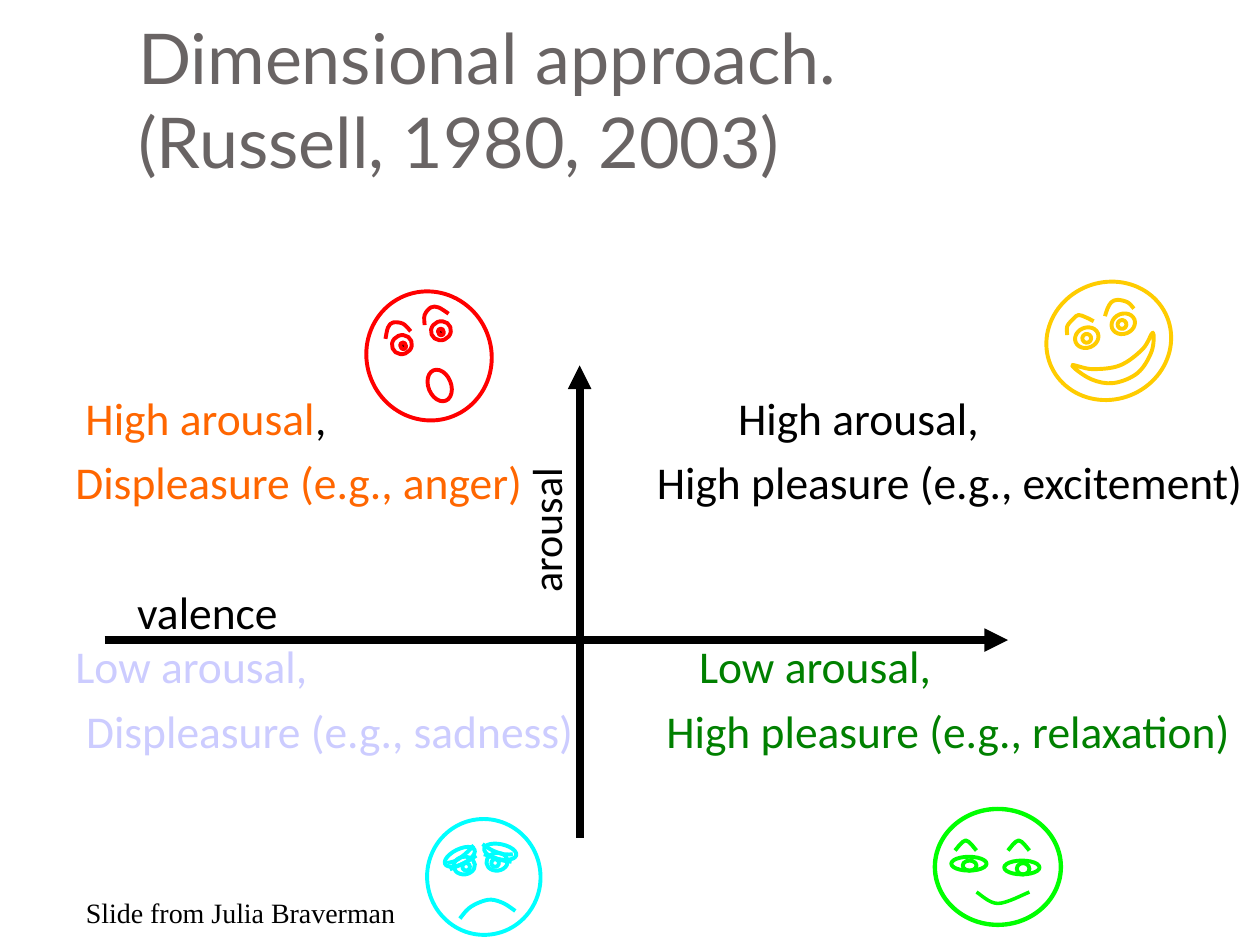
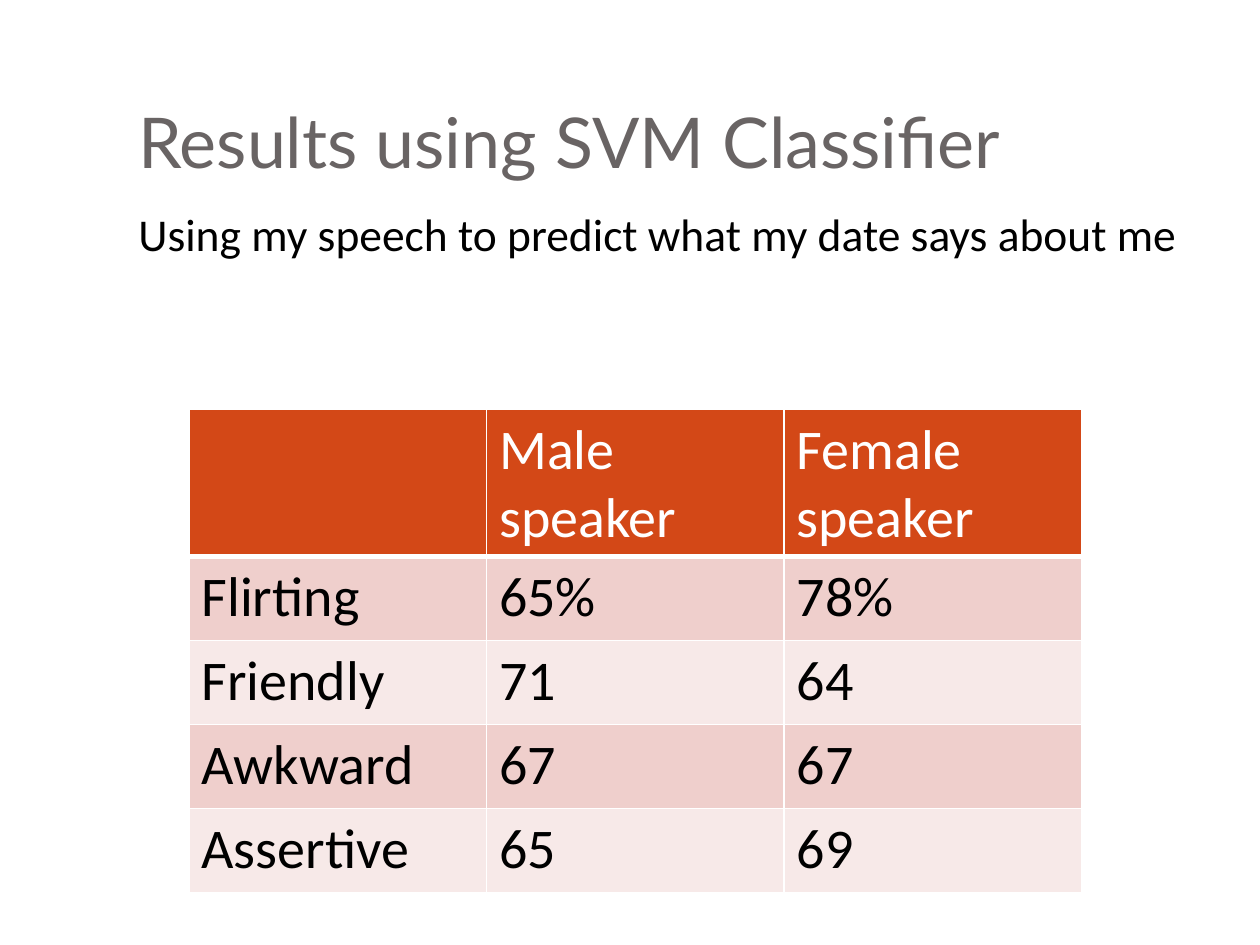
from dataclasses import dataclass

from lxml import etree
from pptx import Presentation
from pptx.dml.color import RGBColor
from pptx.enum import shapes, text
from pptx.oxml import ns
from pptx import util as u

# Grid: 100 columns by 75 rows of square cells
SLIDE_WIDTH, SLIDE_HEIGHT = u.Inches(10), u.Inches(7.5)
CELL = SLIDE_WIDTH / 100

# Shared style
BLACK, WHITE, TITLE_GREY = "000000", "FFFFFF", "696464"
ORANGE, LILAC, GREEN = "FF6600", "CCCCFF", "008000"
HEADER_FILL, BAND_FILLS = "D34817", ("EFCFCC", "F7E9E8")
TITLE_FONT, BODY_FONT, CREDIT_FONT = "Lato", "Calibri", "Times New Roman"
BODY_SIZE = 26
LINE_GAP = 5.8

Point = tuple[float, float]
Box = tuple[float, float, float, float]


@dataclass
class TextLine:
    runs: list[tuple[str, str]]
    tabs: tuple[float, ...] = ()
    space_before: float = LINE_GAP


@dataclass
class Axis:
    start: Point
    end: Point
    width: float = 4.5
    arrow: bool = True


@dataclass
class Oval:
    box: Box
    rotation: float | None = None
    width: float = 2.25


@dataclass
class Curve:
    knots: list[Point]
    closed: bool = False
    width: float = 2.25


@dataclass
class Face:
    color: str
    rotation: float
    ovals: list[Oval]
    curves: list[Curve]
    pupils: tuple[Box, ...] = ()
    grouped: bool = True


def grid(*cells: float) -> list[u.Emu]:
    return [u.Emu(round(cell * CELL)) for cell in cells]


def rgb(color: str) -> RGBColor:
    return RGBColor.from_string(color)


def child(parent, tag: str, **attributes: str):
    return etree.SubElement(parent, ns.qn(tag), **attributes)


def format_font(font, size: float, name: str, color: str) -> None:
    font.size, font.name, font.bold = u.Pt(size), name, False
    font.color.rgb = rgb(color)


# Text
def add_text(slide, box: Box, lines: list[TextLine], size: float, name: str,
             wrap: bool = True):
    shape = slide.shapes.add_textbox(*grid(*box))
    frame = shape.text_frame
    frame.word_wrap = wrap
    for number, line in enumerate(lines):
        paragraph = frame.add_paragraph() if number else frame.paragraphs[0]
        if line.tabs:
            tab_list = child(paragraph._p.get_or_add_pPr(), "a:tabLst")
            for position in grid(*line.tabs):
                child(tab_list, "a:tab", pos=str(position), algn="l")
        paragraph.space_before = u.Pt(line.space_before if number else 0)
        for words, color in line.runs:
            run = paragraph.add_run()
            run.text = words
            format_font(run.font, size, name, color)
    return shape


def add_title(slide, title: str) -> None:
    shape = slide.shapes.add_textbox(*grid(10, 3, 85, 12.5))
    frame = shape.text_frame
    frame.word_wrap = True
    frame.vertical_anchor = text.MSO_ANCHOR.BOTTOM
    frame.margin_bottom = u.Inches(0.1)
    frame.text = title
    for run in frame.paragraphs[0].runs:
        format_font(run.font, 40, TITLE_FONT, TITLE_GREY)


# Lines and faces
def add_axis(slide, axis: Axis) -> None:
    connector = slide.shapes.add_connector(
        shapes.MSO_CONNECTOR.STRAIGHT, *grid(*axis.start, *axis.end))
    connector.line.width = u.Pt(axis.width)
    connector.line.color.rgb = rgb(BLACK)
    if axis.arrow:
        child(connector.line._get_or_add_ln(), "a:tailEnd", type="triangle")
    child(connector._element.spPr, "a:effectLst")


def bend(shape, closed: bool) -> None:
    """Turn the straight segments into one smooth Bézier each."""
    outline_path = shape._element.find(".//" + ns.qn("a:path"))
    points = [(int(point.get("x")), int(point.get("y")))
              for point in outline_path.iter(ns.qn("a:pt"))]
    before, after = (points[-2], points[1]) if closed else (points[0], points[-1])
    padded = [before, *points, after]
    segments = outline_path.findall(ns.qn("a:lnTo"))
    for segment, a, b, c, d in zip(segments, padded, padded[1:], padded[2:], padded[3:]):
        curve = etree.Element(ns.qn("a:cubicBezTo"))
        first = [q + (r - p) / 6 for p, q, r in zip(a, b, c)]
        second = [r - (s - q) / 6 for q, r, s in zip(b, c, d)]
        for x, y in (first, second, c):
            child(curve, "a:pt", x=str(round(x)), y=str(round(y)))
        outline_path.replace(segment, curve)


def outline(shape, color: str, width: float, fill: str | None = None) -> None:
    shape.shadow.inherit = False
    if fill:
        shape.fill.solid()
        shape.fill.fore_color.rgb = rgb(fill)
    else:
        shape.fill.background()
    shape.line.color.rgb = rgb(color)
    shape.line.width = u.Pt(width)


def add_face(slide, face: Face) -> None:
    parts = slide.shapes.add_group_shape().shapes if face.grouped else slide.shapes
    for oval in face.ovals:
        shape = parts.add_shape(shapes.MSO_SHAPE.OVAL, *grid(*oval.box))
        shape.rotation = face.rotation if oval.rotation is None else oval.rotation
        outline(shape, face.color, oval.width)
    for curve in face.curves:
        knots = curve.knots + curve.knots[:1] if curve.closed else curve.knots
        start, *rest = [grid(*point) for point in knots]
        builder = parts.build_freeform(*start)
        builder.add_line_segments(rest, close=curve.closed)
        shape = builder.convert_to_shape()
        bend(shape, curve.closed)
        outline(shape, face.color, curve.width)
    for box in face.pupils:
        shape = parts.add_shape(shapes.MSO_SHAPE.OCTAGON, *grid(*box))
        shape.rotation = face.rotation
        outline(shape, face.color, 2.25, BLACK)


SURPRISED = Face(
    "FF0000", 338.1,
    [Oval((29.1, 23.1, 9.9, 10.3)), Oval((34, 29.3, 1.8, 2.6)),
     Oval((31.1, 26.6, 1.6, 1.5)), Oval((34.2, 25.5, 1.6, 1.5))],
    [Curve([(35.6, 24.9), (34.8, 24.4), (34.2, 24.4), (33.7, 25), (33.7, 25.8)]),
     Curve([(30.6, 26.9), (30.8, 26), (31.2, 25.6), (32, 25.7), (32.6, 26.3)])],
    ((31.8, 27.2, 0.4, 0.5), (34.8, 26.1, 0.4, 0.5)))

EXCITED = Face(
    "FFCC00", 338.1,
    [Oval((83, 22.4, 10, 9.3)), Oval((85.3, 26, 1.9, 1.6)),
     Oval((88.2, 24.9, 1.9, 1.6)), Oval((85.9, 26.5, 0.7, 0.7)),
     Oval((88.7, 25.4, 0.7, 0.7))],
    [Curve([(85.1, 29), (86.7, 29.3), (88.9, 29), (90.7, 27.7), (91.5, 26.4),
            (91.4, 27.9), (90.3, 29.6), (88.4, 30.4), (86.6, 30.1)], True),
     Curve([(86.8, 25.5), (86.2, 25.2), (85.6, 25), (85.2, 25.3), (84.7, 25.9),
            (84.7, 26.6)]),
     Curve([(87.7, 25.1), (87.9, 24.5), (88.2, 24), (88.7, 23.8), (89.5, 24),
            (90, 24.5)])])

SAD = Face(
    "00FFFF", 352.8,
    [Oval((33.9, 65, 9, 9.2)), Oval((36, 68, 1.7, 1.4)),
     Oval((36.7, 68.5, 0.6, 0.6)), Oval((35.2, 67.4, 2.6, 1.2), 333.7),
     Oval((38.6, 67.7, 1.7, 1.4)), Oval((39, 68.2, 0.6, 0.6)),
     Oval((38.4, 67, 2.6, 1.2), 12)],
    [Curve([(36.5, 72.9), (37.2, 72.1), (38.1, 71.6), (39, 71.4), (40, 71.7),
            (40.9, 72.3)]),
     Curve([(37.8, 67.9), (37.2, 68.3), (36.4, 68.7), (35.7, 69)]),
     Curve([(37.6, 67.1), (36.9, 67.8), (36.2, 68.3), (35.5, 68.5)]),
     Curve([(38.4, 67.8), (39, 68), (39.9, 68.3), (40.6, 68.4)]),
     Curve([(38.3, 67), (39.1, 67.5), (40, 67.8), (40.7, 67.8)])])

RELAXED = Face(
    "00FF00", 0,
    [Oval((74.2, 64.2, 10, 9.2), width=2.5), Oval((75.5, 68, 2.8, 1.1)),
     Oval((79.7, 68.3, 2.8, 1.1)), Oval((76.4, 68.3, 1.1, 0.8)),
     Oval((80.7, 68.5, 1, 0.9))],
    [Curve([(77.5, 70.8), (79.2, 71.7), (81.7, 70.8)], width=2)]
    + [Curve([(x, 67.5), (x + 0.85, 66.7), (x + 1.7, 67.5)]) for x in (75.8, 80)],
    grouped=False)

QUADRANT_LINES = [
    TextLine([("\tHigh arousal", ORANGE), (",\tHigh arousal,", BLACK)], (0.8, 52.6)),
    TextLine([("Displeasure (e.g., anger)\t", ORANGE),
              ("High pleasure (e.g., excitement)", BLACK)], (46.15,)),
    TextLine([("\tvalence", BLACK)], (4.9,), 42.7),
    TextLine([("Low arousal,\t", LILAC), ("Low arousal,", GREEN)], (49.5,), 0),
    TextLine([("\tDispleasure (e.g., sadness)\t", LILAC),
              ("High pleasure (e.g., relaxation)", GREEN)], (0.85, 46.9)),
]

AXES = [
    Axis((8.3, 50.8), (80, 50.8)),
    Axis((46, 66.5), (46, 29)),
    Axis((55, 17.5), (55, 17.5), 0.75, False),
]

RESULTS = [
    ("", "Male speaker", "Female speaker"),
    ("Flirting", "65%", "78%"),
    ("Friendly", "71", "64"),
    ("Awkward", "67", "67"),
    ("Assertive", "65", "69"),
]


# Table
def add_borders(cell, bottom: float) -> None:
    properties = cell._tc.get_or_add_tcPr()
    for side, width in zip("LRTB", (1, 1, 1, bottom)):
        line = child(properties, f"a:ln{side}", w=str(u.Pt(width)))
        child(child(line, "a:solidFill"), "a:srgbClr", val=WHITE)


def add_results(slide, rows: list[tuple[str, ...]]) -> None:
    frame = slide.shapes.add_table(len(rows), len(rows[0]), *grid(15, 32.5, 70.85, 38.3))
    table = frame.table
    for row_number, values in enumerate(rows):
        header = row_number == 0
        table.rows[row_number].height = grid(9.2 if header else 6.67)[0]
        fill = HEADER_FILL if header else BAND_FILLS[(row_number - 1) % 2]
        for column_number, value in enumerate(values):
            cell = table.cell(row_number, column_number)
            add_borders(cell, 3 if header else 1)
            cell.fill.solid()
            cell.fill.fore_color.rgb = rgb(fill)
            cell.text = value
            for run in cell.text_frame.paragraphs[0].runs:
                format_font(run.font, 32, BODY_FONT, WHITE if header else BLACK)
    frame.height = grid(38.3)[0]


# Slides
def build_dimensions(slide) -> None:
    add_title(slide, "Dimensional approach. \v(Russell, 1980, 2003)")
    quadrants = add_text(slide, (5, 15.83, 95, 50), QUADRANT_LINES, BODY_SIZE, BODY_FONT)
    quadrants.text_frame.margin_top = grid(15.1)[0]
    for axis in AXES:
        add_axis(slide, axis)
    for face in (SURPRISED, EXCITED, SAD, RELAXED):
        add_face(slide, face)
    add_text(slide, (5.83, 70.6, 26.9, 3.7),
             [TextLine([("Slide from Julia Braverman", BLACK)])], 16, CREDIT_FONT, False)
    label = add_text(slide, (37.3, 39.5, 12, 5),
                     [TextLine([("arousal", BLACK)])], 24, BODY_FONT, False)
    label.rotation = 270


def build_results(slide) -> None:
    add_title(slide, "Results using SVM Classifier")
    subtitle = "Using my speech to predict what my date says about me"
    add_text(slide, (10, 15.83, 85, 50), [TextLine([(subtitle, BLACK)])],
             BODY_SIZE, BODY_FONT)
    add_results(slide, RESULTS)


def main() -> None:
    presentation = Presentation()
    presentation.slide_width, presentation.slide_height = SLIDE_WIDTH, SLIDE_HEIGHT
    for build in (build_dimensions, build_results):
        build(presentation.slides.add_slide(presentation.slide_layouts[6]))
    presentation.save("out.pptx")


if __name__ == "__main__":
    main()
